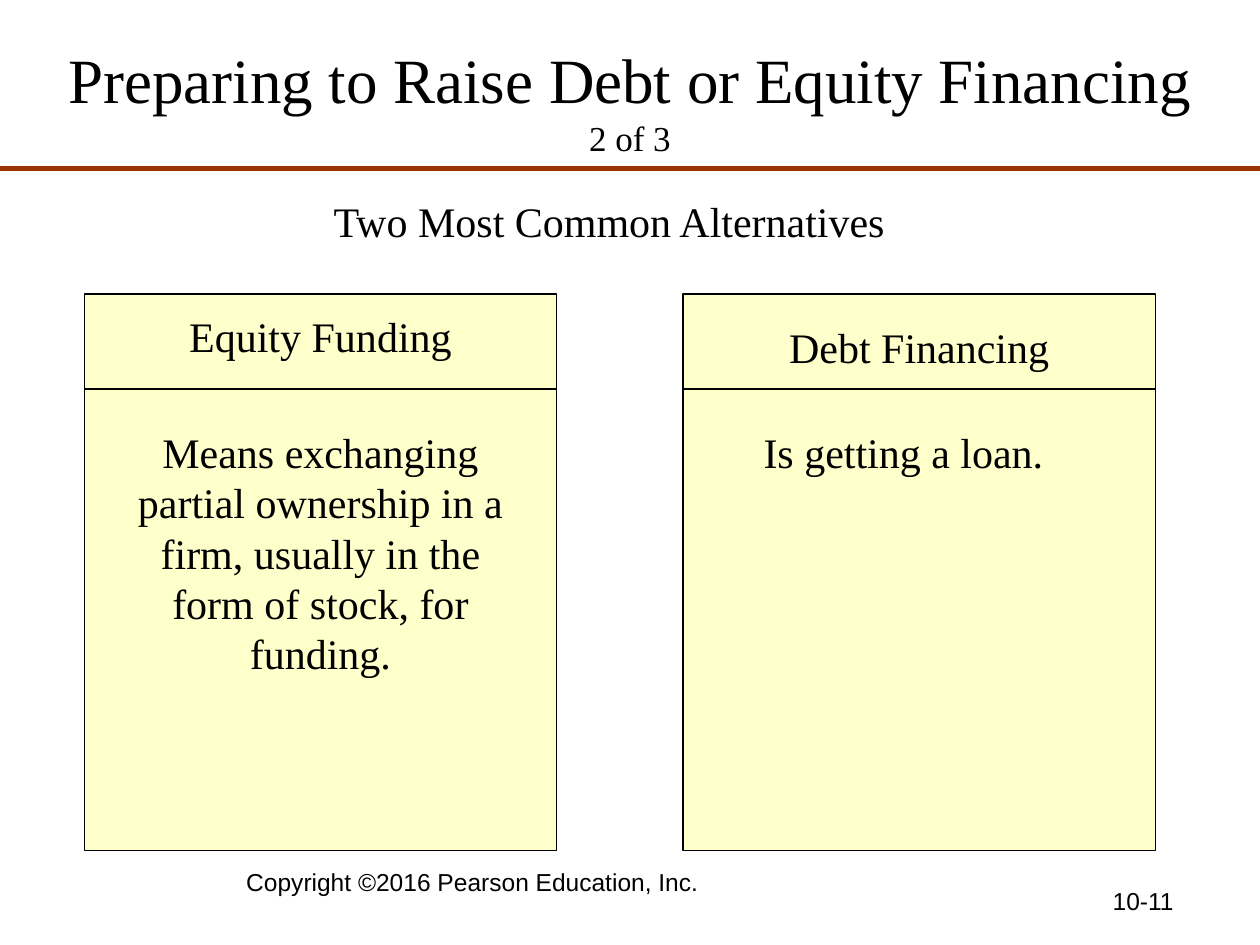
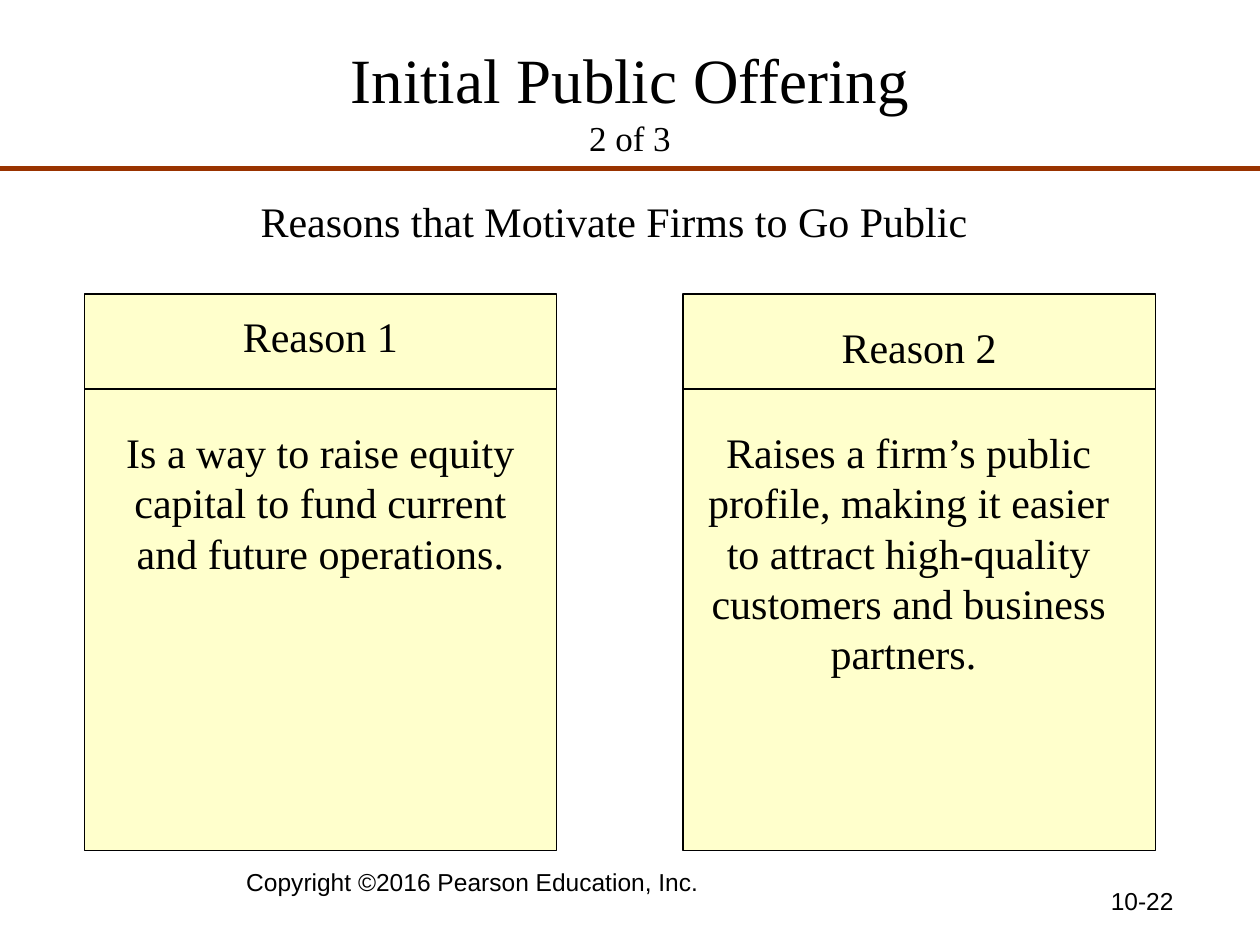
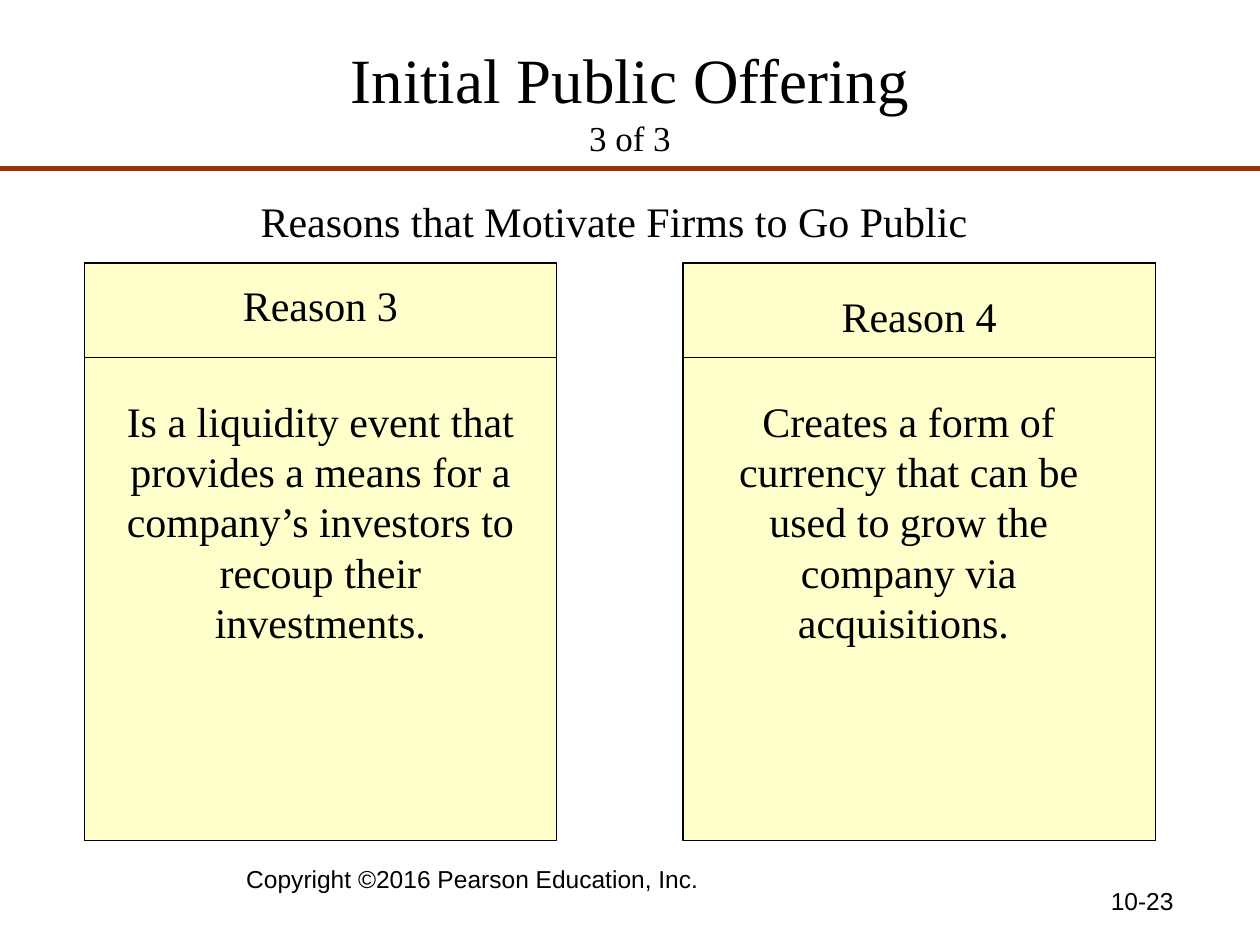
from lxml import etree
from pptx import Presentation
from pptx.dml.color import RGBColor
from pptx.enum import shapes, text
from pptx.oxml import ns
from pptx.util import Cm, Pt

COLORS = {"ink": "000000", "rule": "993300", "panel": "FFFFCC"}
SERIF = "Times New Roman"
FORMATS = {
    "title": {"name": SERIF, "size": Pt(36)},
    "part": {"name": SERIF, "size": Pt(20)},
    "body": {"name": SERIF, "size": Pt(24)},
    "footer": {"name": "Arial", "size": Pt(14)},
}
CENTER, RIGHT = text.PP_ALIGN.CENTER, text.PP_ALIGN.RIGHT
PANEL_LEFTS = (1.7, 13.77)
PANEL_WIDTH = 9.52
HEAD_OFFSETS = (0.21, 0.43)
BODY_INSETS = (0.42, 0.21)
LINE_HEIGHT = 1.02

SLIDES = [
    {
        "title": "Preparing to Raise Debt or Equity Financing", "part": "2 of 3",
        "subtitle": "Two Most Common Alternatives", "subtitle_box": (5.08, 14.4),
        "top": 5.93, "height": 11.22, "footer_top": 17.35, "number": "10-11",
        "panels": [
            ("Equity Funding", "Means exchanging partial ownership in a firm, "
             "usually in the form of stock, for funding.", 5),
            ("Debt Financing", "Is getting a loan. ", 1),
        ],
    },
    {
        "title": "Initial Public Offering", "part": "2 of 3",
        "subtitle": "Reasons that Motivate Firms to Go Public", "subtitle_box": (4.02, 16.72),
        "top": 5.93, "height": 11.22, "footer_top": 17.35, "number": "10-22",
        "panels": [
            ("Reason 1", "Is a way to raise equity capital to fund current "
             "and future operations.", 3),
            ("Reason 2", "Raises a firm’s public profile, making it easier to attract "
             "high-quality customers and business partners. ", 5),
        ],
    },
    {
        "title": "Initial Public Offering", "part": "3 of 3",
        "subtitle": "Reasons that Motivate Firms to Go Public", "subtitle_box": (4.02, 16.72),
        "top": 5.3, "height": 11.64, "footer_top": 17.3, "number": "10-23",
        "panels": [
            ("Reason 3", "Is a liquidity event that provides a means for a company’s "
             "investors to recoup their investments.", 5),
            ("Reason 4", "Creates a form of currency that can be used to grow the company "
             "via acquisitions. ", 5),
        ],
    },
]


def add_text(s, box, words, style="body", align=CENTER):
    tf = s.shapes.add_textbox(*map(Cm, box)).text_frame
    tf.word_wrap = True
    if style == "body":
        tf.auto_size = text.MSO_AUTO_SIZE.SHAPE_TO_FIT_TEXT
    p = tf.paragraphs[0]
    p.alignment = align
    r = p.add_run()
    r.text = words
    for key, value in FORMATS[style].items():
        setattr(r.font, key, value)
    r.font.color.rgb = RGBColor.from_string(COLORS["ink"])


def add_rule(s, left, top, width, color, weight):
    line = s.shapes.add_connector(
        shapes.MSO_CONNECTOR.STRAIGHT, Cm(left), Cm(top), Cm(left + width), Cm(top))
    line.line.color.rgb = RGBColor.from_string(COLORS[color])
    line.line.width = Pt(weight)
    etree.SubElement(line._element.spPr, ns.qn("a:effectLst"))


prs = Presentation()
prs.slide_width, prs.slide_height = Cm(25.4), Cm(19.05)

for spec_row in SLIDES:
    s = prs.slides.add_slide(prs.slide_layouts[5])
    top = spec_row["top"]
    add_rule(s, 0, 3.39, 25.4, "rule", 3)

    title = s.shapes.title
    title.left, title.top, title.width, title.height = map(Cm, (0.85, 0.42, 23.7, 3.18))
    tf = title.text_frame
    tf.auto_size = text.MSO_AUTO_SIZE.NONE
    tf.vertical_anchor = text.MSO_ANCHOR.MIDDLE
    p = tf.paragraphs[0]
    p.alignment = CENTER
    for style in ("title", "part"):
        if style == "part":
            p.add_line_break()
        r = p.add_run()
        r.text = spec_row[style]
        for key, value in FORMATS[style].items():
            setattr(r.font, key, value)
        r.font.color.rgb = RGBColor.from_string(COLORS["ink"])

    left, width = spec_row["subtitle_box"]
    add_text(s, (left, 3.81, width, 1.27), spec_row["subtitle"])

    for i, (heading, body, lines) in enumerate(spec_row["panels"]):
        left = PANEL_LEFTS[i]
        sp = s.shapes.add_shape(
            shapes.MSO_SHAPE.RECTANGLE, *map(Cm, (left, top, PANEL_WIDTH, spec_row["height"])))
        sp.shadow.inherit = False
        sp.fill.solid()
        sp.fill.fore_color.rgb = RGBColor.from_string(COLORS["panel"])
        sp.line.color.rgb = RGBColor.from_string(COLORS["ink"])
        sp.line.width = Pt(0.75)
        add_rule(s, left, top + 1.91, PANEL_WIDTH, "ink", 0.75)
        add_text(s, (left + 0.21, top + HEAD_OFFSETS[i], 9.1, 1.27), heading)
        add_text(s, (left + BODY_INSETS[i], top + 2.54, 8.68, 0.25 + LINE_HEIGHT * lines), body)

    add_text(s, (1.27, spec_row["footer_top"], 16.51, 1.32),
             "Copyright ©2016 Pearson Education, Inc.", "footer")
    add_text(s, (17.99, 17.73, 5.92, 1.32), spec_row["number"], "footer", RIGHT)

prs.save("out.pptx")
